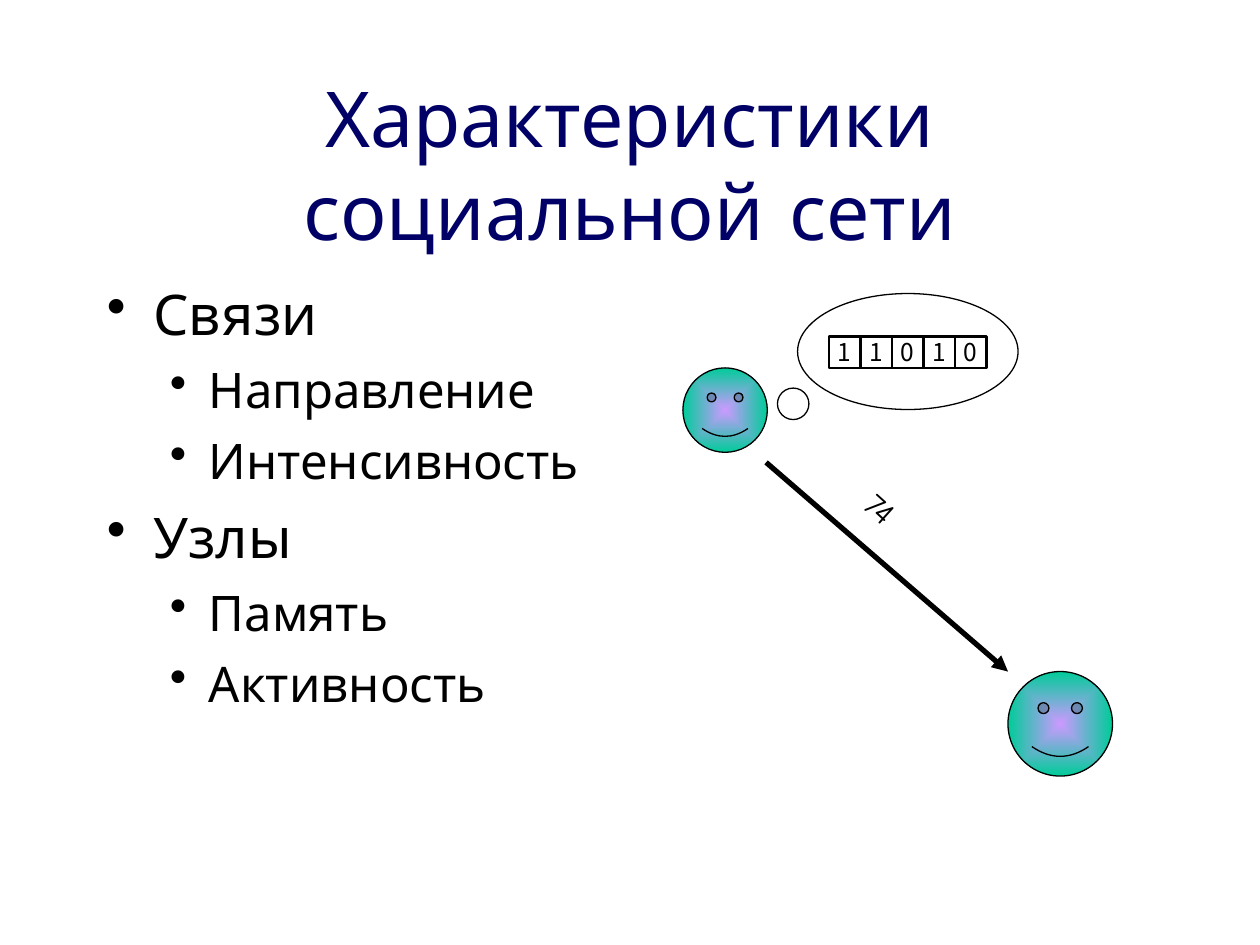
from typing import NamedTuple

from lxml import etree
from pptx import Presentation
from pptx.dml.color import RGBColor
from pptx.enum.shapes import MSO_CONNECTOR, MSO_SHAPE
from pptx.enum.text import MSO_ANCHOR, MSO_AUTO_SIZE, PP_ALIGN
from pptx.oxml import parse_xml
from pptx.oxml.ns import nsdecls, qn
from pptx.util import Inches, Pt

OVAL, SMILEY, RECTANGLE = MSO_SHAPE.OVAL, MSO_SHAPE.SMILEY_FACE, MSO_SHAPE.RECTANGLE
STRAIGHT = MSO_CONNECTOR.STRAIGHT
MIDDLE, CENTER = MSO_ANCHOR.MIDDLE, PP_ALIGN.CENTER
NO_FIT, GROW = MSO_AUTO_SIZE.NONE, MSO_AUTO_SIZE.SHAPE_TO_FIT_TEXT

TEXT_FONT, DIGIT_FONT = "Comic Neue", "Noto Sans CJK KR"
BLACK, WHITE, NAVY = "000000", "FFFFFF", "000066"
FACE_CENTER, FACE_EDGE = "CC99FF", "00CC99"
CELL = 0.25


class Box(NamedTuple):
    left: float
    top: float
    width: float
    height: float

    def lengths(self):
        return [Inches(value) for value in self]


class Level(NamedTuple):
    size: int
    margin: float
    hanging: float
    space_before: int


class Item(NamedTuple):
    text: str
    level: int


LEVELS = [Level(32, 0.37, 0.37, 8), Level(28, 0.81, 0.31, 7)]
FEATURES = [
    Item("Связи", 0),
    Item("Направление", 1),
    Item("Интенсивность", 1),
    Item("Узлы", 0),
    Item("Память", 1),
    Item("Активность", 1),
]
THOUGHT = Box(6.33, 2.33, 1.75, 0.92)
THOUGHT_TAIL = Box(6.17, 3.08, 0.25, 0.25)
SENDER = Box(5.42, 2.92, 0.67, 0.67)
RECEIVER = Box(8, 5.33, 0.83, 0.83)
MEMORY_BITS = "11010"
MEMORY_LEFT, MEMORY_TOP = 6.58, 2.67


def color(hex_value: str) -> RGBColor:
    return RGBColor.from_string(hex_value)


def set_font(paragraph, size: int, hex_value: str = BLACK, name: str = TEXT_FONT) -> None:
    for attribute, value in {"size": Pt(size), "name": name, "bold": False}.items():
        setattr(paragraph.font, attribute, value)
    paragraph.font.color.rgb = color(hex_value)


def set_frame(frame, **values) -> None:
    for attribute, value in values.items():
        setattr(frame, attribute, value)


def add_outlined(slide, kind, box: Box, line_width: float = 0.75):
    """Add a white preset shape with a black outline."""
    shape = slide.shapes.add_shape(kind, *box.lengths())
    shape.shadow.inherit = False
    shape.fill.solid()
    shape.fill.fore_color.rgb = color(WHITE)
    shape.line.color.rgb = color(BLACK)
    shape.line.width = Pt(line_width)
    return shape


def add_person(slide, box: Box) -> None:
    face = add_outlined(slide, SMILEY, box)
    properties = face.fill._xPr
    gradient = parse_xml(
        f'<a:gradFill {nsdecls("a")} rotWithShape="1"><a:gsLst>'
        f'<a:gs pos="0"><a:srgbClr val="{FACE_CENTER}"/></a:gs>'
        f'<a:gs pos="100000"><a:srgbClr val="{FACE_EDGE}"/></a:gs></a:gsLst>'
        '<a:path path="rect"><a:fillToRect l="50000" t="50000" r="50000" b="50000"/>'
        "</a:path></a:gradFill>"
    )
    properties.replace(properties.find(qn("a:solidFill")), gradient)


def add_title(slide, text: str) -> None:
    title = slide.shapes.title
    title.left, title.top, title.width, title.height = Box(0.75, 0.51, 8.5, 1.57).lengths()
    title.text_frame.text = text
    set_frame(title.text_frame, auto_size=NO_FIT, word_wrap=True, vertical_anchor=MIDDLE)
    paragraph = title.text_frame.paragraphs[0]
    paragraph.alignment = CENTER
    set_font(paragraph, 44, NAVY)


def add_features(slide, items: list[Item]) -> None:
    frame = slide.shapes.add_textbox(*Box(0.75, 2.17, 8.5, 4.5).lengths()).text_frame
    set_frame(frame, word_wrap=True, auto_size=NO_FIT)
    for index, item in enumerate(items):
        level = LEVELS[item.level]
        paragraph = frame.add_paragraph() if index else frame.paragraphs[0]
        paragraph.text = item.text
        paragraph.level = item.level
        if index:
            paragraph.space_before = Pt(level.space_before)
        properties = paragraph._p.get_or_add_pPr()
        properties.set("marL", str(Inches(level.margin)))
        properties.set("indent", str(-Inches(level.hanging)))
        bullet_color = etree.SubElement(properties, qn("a:buClr"))
        etree.SubElement(bullet_color, qn("a:srgbClr"), val=BLACK)
        etree.SubElement(properties, qn("a:buChar"), char="•")
        set_font(paragraph, level.size)


def add_memory(slide, bits: str) -> None:
    for index, bit in enumerate(bits):
        box = Box(MEMORY_LEFT + index * CELL, MEMORY_TOP, CELL, CELL)
        frame = add_outlined(slide, RECTANGLE, box, 1.25).text_frame
        frame.text = bit
        set_frame(frame, word_wrap=False, vertical_anchor=MIDDLE)
        frame.paragraphs[0].alignment = CENTER
        set_font(frame.paragraphs[0], 14, name=DIGIT_FONT)


def add_tie(slide) -> None:
    """Draw the directed link from sender to receiver."""
    ends = [Inches(value) for value in (6.08, 3.67, 8, 5.33)]
    tie = slide.shapes.add_connector(STRAIGHT, *ends)
    tie.line.color.rgb = color(BLACK)
    tie.line.width = Pt(3)
    etree.SubElement(tie.line._get_or_add_ln(), qn("a:tailEnd"), type="triangle")
    etree.SubElement(tie._element.spPr, qn("a:effectLst"))


def add_intensity(slide, value: str) -> None:
    label = slide.shapes.add_textbox(*Box(6.75, 3.92, 0.67, 0.4).lengths())
    label.rotation = 42
    label.text_frame.text = value
    set_frame(label.text_frame, word_wrap=True, auto_size=GROW)
    set_font(label.text_frame.paragraphs[0], 18)


def main() -> None:
    presentation = Presentation()
    presentation.slide_width, presentation.slide_height = Inches(10), Inches(7.5)
    slide = presentation.slides.add_slide(presentation.slide_layouts.get_by_name("Title Only"))
    add_title(slide, "Характеристики социальной сети")
    add_features(slide, FEATURES)
    add_outlined(slide, OVAL, THOUGHT)
    add_person(slide, SENDER)
    add_outlined(slide, OVAL, THOUGHT_TAIL)
    add_memory(slide, MEMORY_BITS)
    add_tie(slide)
    add_person(slide, RECEIVER)
    add_intensity(slide, "74")
    presentation.save("out.pptx")


if __name__ == "__main__":
    main()
